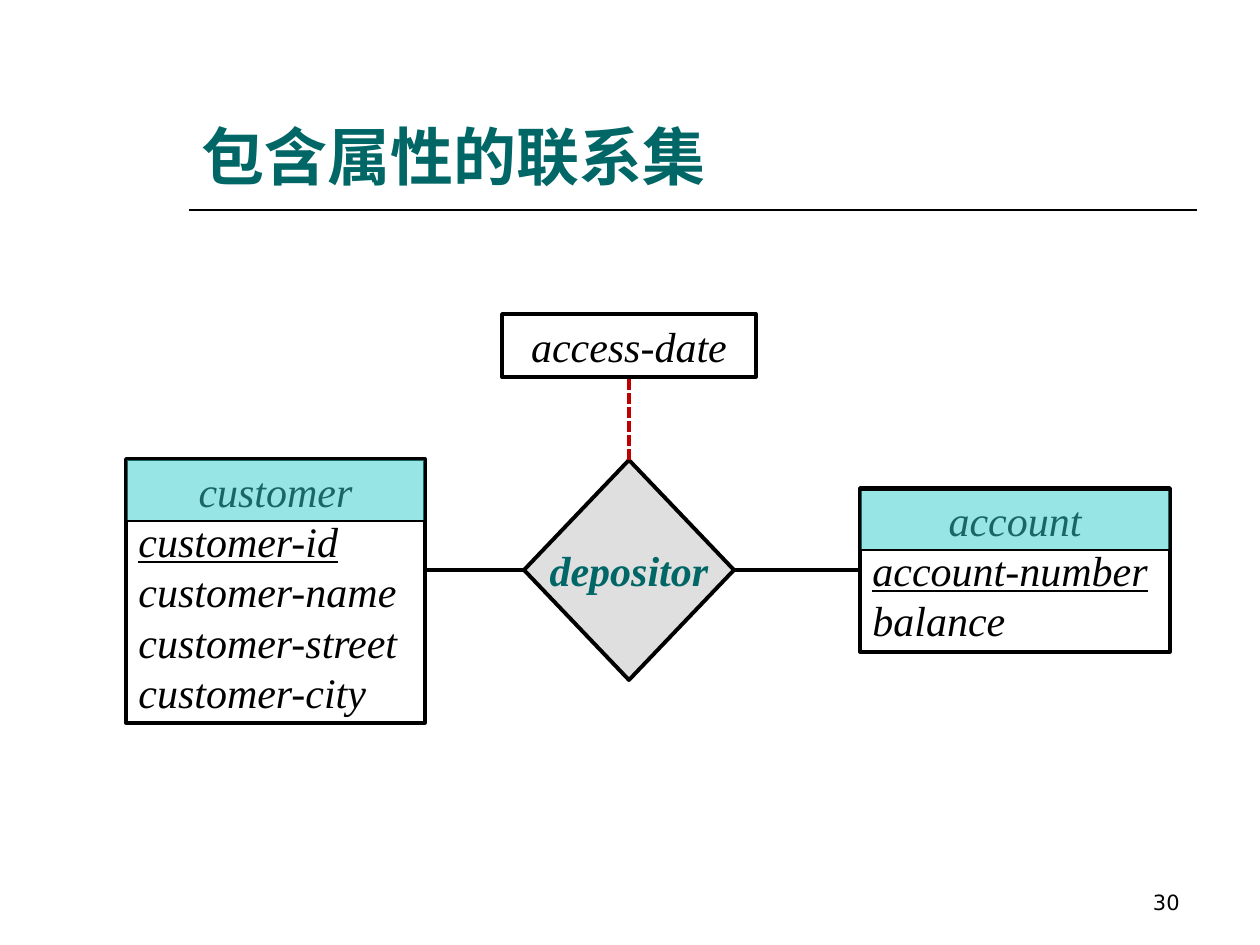
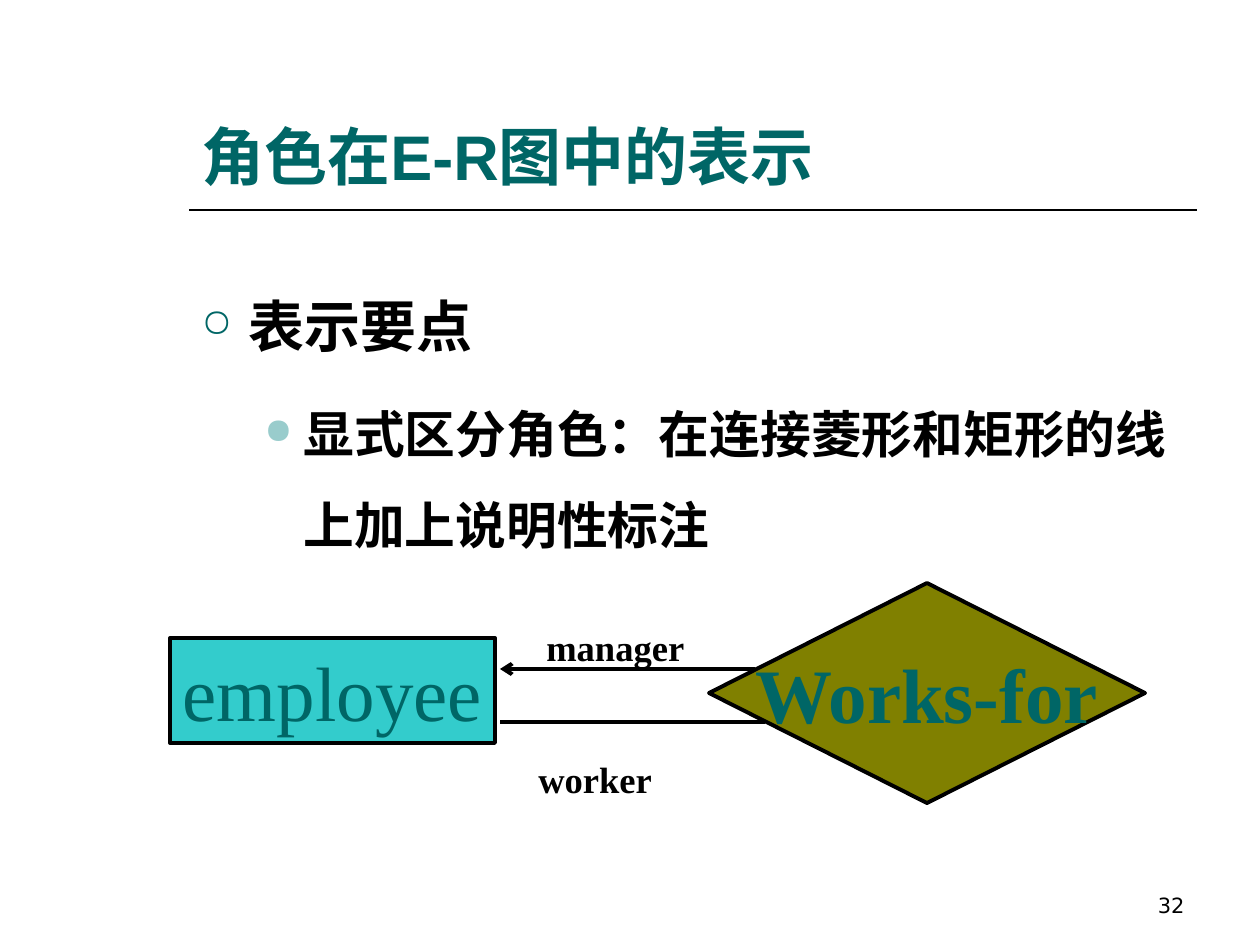
import pptx
import pptx.dml.color
import pptx.enum.dml
import pptx.enum.shapes
import pptx.enum.text
import pptx.oxml
import pptx.oxml.ns
import pptx.util

PX = 914400 / 126
TEAL = "006666"
PALE_TEAL = "99CCCC"
CYAN = "33CCCC"
BLACK = "000000"
WHITE = "FFFFFF"
RED = "C00000"
GREY = "DFDFDF"
OLIVE = "808000"
SERIF = "Times New Roman"
SANS = "DejaVu Sans"
TITLE_FONT = "Arial"

ALIGN = pptx.enum.text.PP_ALIGN
ANCHOR = pptx.enum.text.MSO_ANCHOR
SHAPE = pptx.enum.shapes.MSO_SHAPE


def px(value):
    return pptx.util.Emu(round(value * PX))


def rgb(color):
    return pptx.dml.color.RGBColor.from_string(color)


def add_xml(parent, tag, **attrs):
    child = pptx.oxml.parse_xml(f"<a:{tag} {pptx.oxml.ns.nsdecls('a')}/>")
    for name, value in attrs.items():
        child.set(name, str(value))
    parent.append(child)
    return child


def write(sp, lines, size, font=SERIF, color=BLACK, bold=False, italic=False,
          align=ALIGN.LEFT, anchor=ANCHOR.TOP, wrap=True):
    tf = sp.text_frame
    tf.word_wrap = wrap
    tf.vertical_anchor = anchor
    tf.text = "\n".join(lines)
    for p in tf.paragraphs:
        p.alignment = align
        for r in p.runs:
            r.font.size = pptx.util.Pt(size)
            r.font.name = font
            r.font.bold = bold
            r.font.italic = italic
            r.font.color.rgb = rgb(color)
    return tf.paragraphs


def add_text(s, box, lines, size, **style):
    sp = s.shapes.add_textbox(*map(px, box))
    return write(sp, lines, size, **style)


def add_box(s, kind, box, fill=None, width=2, opacity=100):
    sp = s.shapes.add_shape(kind, *map(px, box))
    sp.shadow.inherit = False
    if fill:
        sp.fill.solid()
        sp.fill.fore_color.rgb = rgb(fill)
        if opacity < 100:
            clr = sp.fill._xPr.find(".//" + pptx.oxml.ns.qn("a:srgbClr"))
            add_xml(clr, "alpha", val=opacity * 1000)
    else:
        sp.fill.background()
    sp.line.color.rgb = rgb(BLACK)
    sp.line.width = pptx.util.Pt(width)
    return sp


def add_line(s, x1, y1, x2, y2, width=2.25, color=BLACK, dashed=False, arrow=False):
    line = s.shapes.add_connector(pptx.enum.shapes.MSO_CONNECTOR.STRAIGHT,
                                  *map(px, (x1, y1, x2, y2)))
    line.line.color.rgb = rgb(color)
    line.line.width = pptx.util.Pt(width)
    if dashed:
        line.line.dash_style = pptx.enum.dml.MSO_LINE.SQUARE_DOT
    if arrow:
        add_xml(line.line._get_or_add_ln(), "tailEnd", type="arrow")
    add_xml(line._element.spPr, "effectLst")
    return line


def add_entity(s, box, header_top, header_height, name, key, *attributes):
    left, _, width, _ = box
    sp = add_box(s, SHAPE.RECTANGLE, box)
    paragraphs = write(sp, [name, key, *attributes], 24, italic=True)
    paragraphs[0].alignment = ALIGN.CENTER
    paragraphs[1].runs[0].font.underline = True
    add_box(s, SHAPE.RECTANGLE, (left, header_top, width, header_height),
            CYAN, width=0.75, opacity=50)
    return sp


def add_relationship(s, box, name, size, fill, italic=False):
    sp = add_box(s, SHAPE.DIAMOND, box, fill, width=2.25)
    write(sp, [name], size, color=TEAL, bold=True, italic=italic,
          align=ALIGN.CENTER, anchor=ANCHOR.MIDDLE, wrap=False)
    return sp


def add_role(s, box, name):
    p = add_text(s, box, [name], 36, bold=True)[0]
    p.runs[0].font._element.set("baseline", "-20000")


def add_bullet(p, char, color, size, indent, hanging):
    p.line_spacing = 1.5
    pPr = p._p.get_or_add_pPr()
    pPr.set("marL", str(px(indent)))
    pPr.set("indent", str(-px(hanging)))
    add_xml(add_xml(pPr, "buClr"), "srgbClr", val=color)
    add_xml(pPr, "buSzPct", val=70000)
    add_xml(pPr, "buChar", char=char)
    p.runs[0].font.size = pptx.util.Pt(size)


def add_slide(prs, title, number, number_left, number_top):
    s = prs.slides.add_slide(prs.slide_layouts[6])
    add_line(s, 189, 210, 1197, 210, width=1)
    add_text(s, (number_left, number_top, 294, 63), [number], 12, font=SANS,
             align=ALIGN.RIGHT, anchor=ANCHOR.BOTTOM)
    add_text(s, (189, 42, 1008, 157), [title], 36, font=TITLE_FONT, color=TEAL,
             bold=True, anchor=ANCHOR.BOTTOM)
    return s


def build_attribute_slide(prs):
    s = add_slide(prs, "包含属性的联系集", "30", 898, 858)
    add_entity(s, (126, 459, 299, 264), 459, 62, "customer", "customer-id",
               "customer-name", "customer-street", "customer-city")
    account = add_entity(s, (860, 488, 310, 164), 490, 60,
                         "account", "account-number", "balance")
    depositor = add_relationship(s, (524, 460, 210, 220), "depositor", 24,
                                 GREY, italic=True)
    access_date = add_box(s, SHAPE.RECTANGLE, (502, 314, 254, 63), WHITE)
    write(access_date, ["access-date"], 24, italic=True, align=ALIGN.CENTER)

    customer_link = add_line(s, 524, 570, 426, 570)
    customer_link.begin_connect(depositor, 1)
    account_link = add_line(s, 860, 570, 734, 570)
    account_link.begin_connect(account, 1)
    account_link.end_connect(depositor, 3)
    date_link = add_line(s, 629, 460, 629, 377, width=2, color=RED, dashed=True)
    date_link.begin_connect(depositor, 0)
    date_link.end_connect(access_date, 2)


def build_role_slide(prs):
    s = add_slide(prs, "角色在E-R图中的表示", "32", 903, 861)
    point, detail = add_text(
        s, (189, 252, 1008, 331),
        ["表示要点", "显式区分角色：在连接菱形和矩形的线上加上说明性标注"],
        32, font=SANS, bold=True)
    add_bullet(point, "○", TEAL, 32, 47, 47)
    detail.level = 1
    detail.space_before = pptx.util.Pt(7.3)
    add_bullet(detail, "●", PALE_TEAL, 29, 102, 39)

    employee = add_box(s, SHAPE.RECTANGLE, (170, 638, 325, 105), CYAN, width=2.25)
    write(employee, ["employee"], 44, color=TEAL, align=ALIGN.CENTER,
          anchor=ANCHOR.MIDDLE, wrap=False)
    add_relationship(s, (709, 583, 436, 220), "Works-for", 44, OLIVE)
    add_line(s, 755, 669, 500, 669, arrow=True)
    add_line(s, 765, 722, 500, 722)
    add_role(s, (534, 580, 213, 96), "manager")
    add_role(s, (526, 712, 163, 96), "worker")


def main():
    prs = pptx.Presentation()
    prs.slide_width = px(1260)
    prs.slide_height = px(945)
    build_attribute_slide(prs)
    build_role_slide(prs)
    prs.save("out.pptx")


if __name__ == "__main__":
    main()
